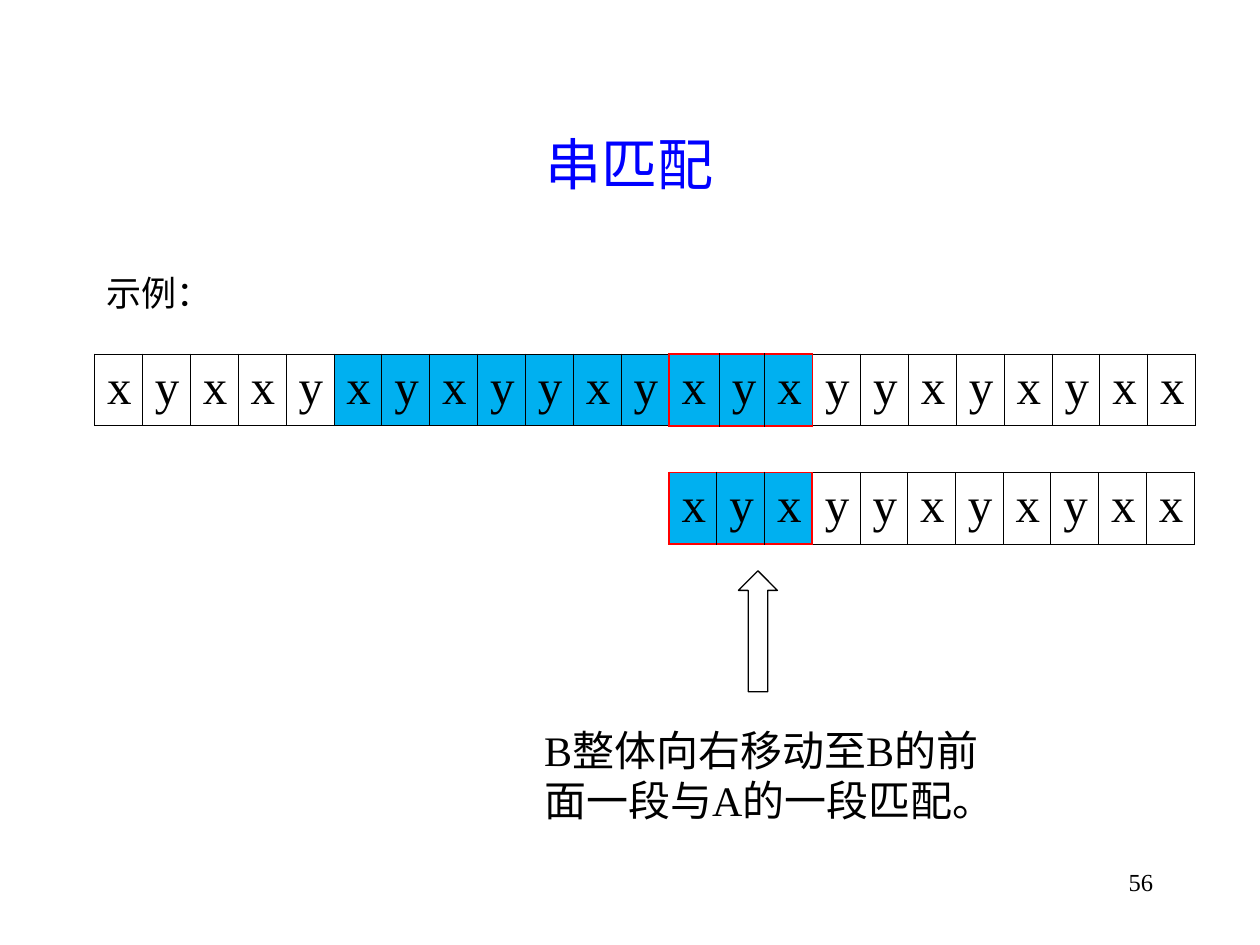
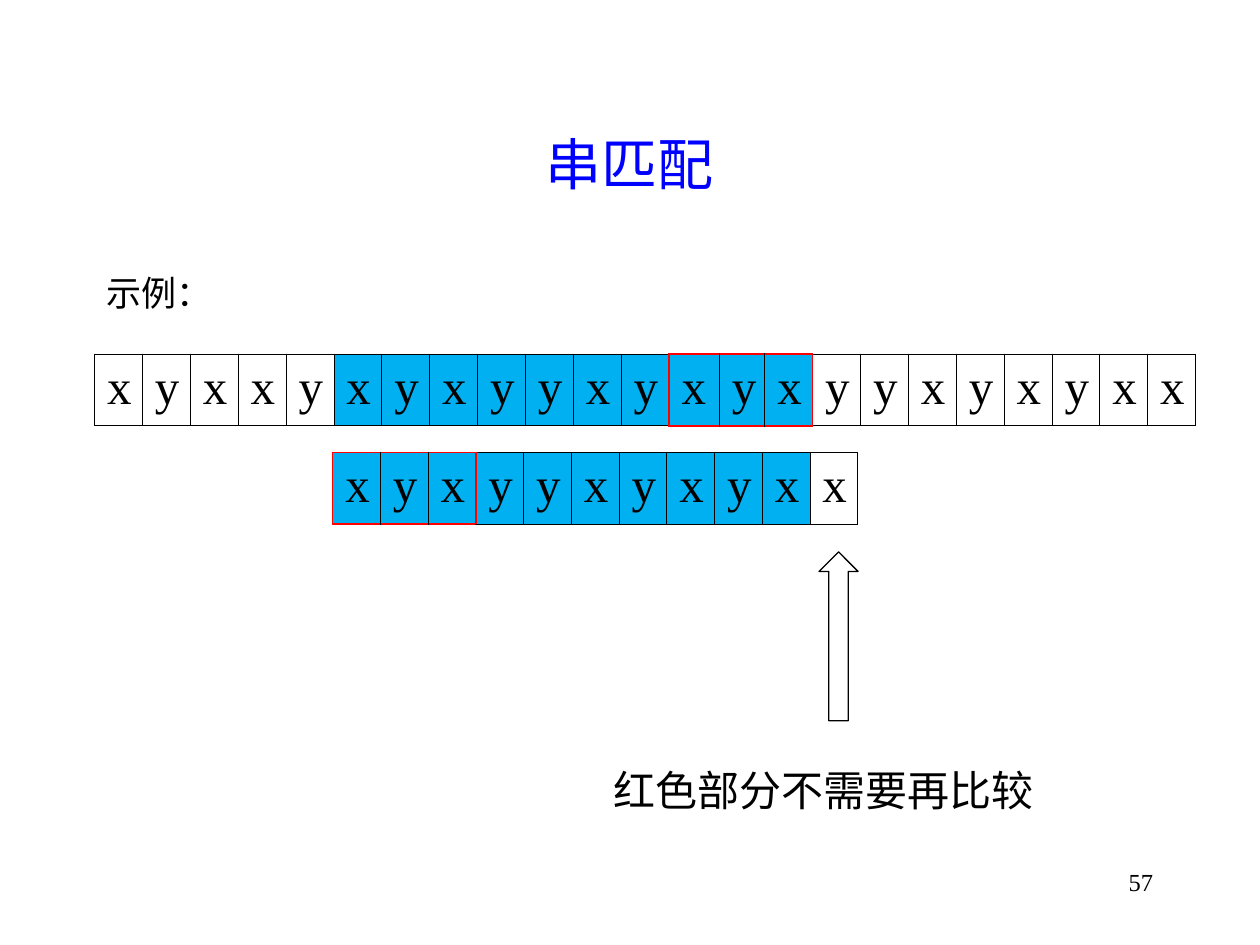
"""Builds two string matching slides with cell strips, an arrow and a remark."""
from lxml import etree
from pptx import Presentation
from pptx.dml.color import RGBColor
from pptx.enum.shapes import MSO_SHAPE
from pptx.enum.text import MSO_ANCHOR, MSO_AUTO_SIZE, PP_ALIGN
from pptx.oxml.ns import qn
from pptx.util import Inches, Pt

BLACK = RGBColor(0x00, 0x00, 0x00)
WHITE = RGBColor(0xFF, 0xFF, 0xFF)
BLUE = RGBColor(0x00, 0x00, 0xFF)
RED = RGBColor(0xFF, 0x00, 0x00)
MATCH_BLUE = RGBColor(0x00, 0xB0, 0xF0)
FONT = "Times New Roman"
LEFT, CENTER, RIGHT = PP_ALIGN.LEFT, PP_ALIGN.CENTER, PP_ALIGN.RIGHT
TOP, MIDDLE = MSO_ANCHOR.TOP, MSO_ANCHOR.MIDDLE
GROW = MSO_AUTO_SIZE.SHAPE_TO_FIT_TEXT
DOWN_ARROW = MSO_SHAPE.DOWN_ARROW

TEXT_A = "xyxxyxyxyyxyxyxyyxyxyxx"
TEXT_B = "xyxyyxyxyxx"
PREFIX_LENGTH = 3
WIDTH_A, WIDTH_B, STRIP_HEIGHT = 8.74, 4.17, 0.57


class Deck:
    """Holds the shared style and the current slide."""

    def __init__(self):
        self.presentation = Presentation()
        self.presentation.slide_width = Inches(10)
        self.presentation.slide_height = Inches(7.5)
        self.slide = None

    def add_slide(self, number):
        """Start a slide with its number, title, label and the strip of text A."""
        self.slide = self.presentation.slides.add_slide(self.presentation.slide_layouts[6])
        self.text(str(number), 7.17, 6.83, 2.08, 0.5, 14, align=RIGHT)
        self.text("串匹配", 0.75, 0.67, 8.5, 1.25, 32, BLUE, CENTER, MIDDLE)
        label = self.text("示例：", 0.75, 2.17, 8.5, 0.48, 20)
        label.line_spacing = 0.8
        label.space_before = Pt(5)
        strip = self.strip(TEXT_A, 0.75, 2.81, WIDTH_A, range(5, 15), 12)
        strip.columns[12].width = Inches(0.4)
        strip.columns[13].width = Inches(0.36)

    def add_run(self, paragraph, text, size, color=BLACK):
        """Add one styled run to a paragraph."""
        run = paragraph.add_run()
        run.text = text
        run.font.name = FONT
        run.font.size = Pt(size)
        run.font.color.rgb = color

    def text(self, text, left, top, width, height, size, color=BLACK,
             align=LEFT, anchor=TOP):
        """Add a wrapped text box and return its paragraph."""
        box = self.slide.shapes.add_textbox(
            Inches(left), Inches(top), Inches(width), Inches(height))
        frame = box.text_frame
        frame.word_wrap = True
        frame.vertical_anchor = anchor
        paragraph = frame.paragraphs[0]
        paragraph.alignment = align
        self.add_run(paragraph, text, size, color)
        return paragraph

    def remark(self, text, left, top, width, height):
        """Add a remark in a box that grows with its text."""
        self.text(text, left, top, width, height, 24)
        self.slide.shapes[-1].text_frame.auto_size = GROW

    def border(self, cell, side, is_red):
        """Draw one side of a cell, heavier when red."""
        width = Pt(1.08) if is_red else Pt(0.45)
        properties = cell._tc.get_or_add_tcPr()
        line = etree.SubElement(properties, qn(f"a:ln{side}"), w=str(int(width)))
        fill = etree.SubElement(line, qn("a:solidFill"))
        etree.SubElement(fill, qn("a:srgbClr"), val=str(RED if is_red else BLACK))

    def strip(self, letters, left, top, width, matched, prefix_start):
        """Add a one-row table of letters with matched cells and a red prefix."""
        table = self.slide.shapes.add_table(
            1, len(letters), Inches(left), Inches(top),
            Inches(width), Inches(STRIP_HEIGHT)).table
        table.first_row = False
        table.horz_banding = False
        prefix = range(prefix_start, prefix_start + PREFIX_LENGTH)
        edges = (prefix.start, prefix.stop)
        for index, letter in enumerate(letters):
            table.columns[index].width = Inches(width / len(letters))
            cell = table.cell(0, index)
            self.add_run(cell.text_frame.paragraphs[0], letter, 28)
            self.border(cell, "L", index in edges)
            self.border(cell, "R", index + 1 in edges)
            self.border(cell, "T", index in prefix)
            self.border(cell, "B", index in prefix)
            if index in matched:
                cell.fill.solid()
                cell.fill.fore_color.rgb = MATCH_BLUE
            else:
                cell.fill.background()
        return table

    def arrow(self, left, top, height):
        """Add an outlined block arrow that points up."""
        shape = self.slide.shapes.add_shape(
            DOWN_ARROW, Inches(left), Inches(top), Inches(0.31), Inches(height))
        shape.rotation = 180
        shape.shadow.inherit = False
        shape.fill.solid()
        shape.fill.fore_color.rgb = WHITE
        shape.line.color.rgb = BLACK
        shape.line.width = Pt(0.74)


deck = Deck()

deck.add_slide(56)
deck.arrow(5.86, 4.53, 0.96)
deck.strip(TEXT_B, 5.31, 3.75, WIDTH_B, range(PREFIX_LENGTH), 0)
deck.remark("B整体向右移动至B的前面一段与A的一段匹配。", 4.22, 5.7, 3.78, 1.3)

deck.add_slide(57)
deck.strip(TEXT_B, 2.64, 3.59, WIDTH_B, range(len(TEXT_B) - 1), 0)
deck.arrow(6.5, 4.38, 1.34)
deck.remark("红色部分不需要再比较", 4.77, 6.02, 3.74, 0.5)

deck.presentation.save("out.pptx")
